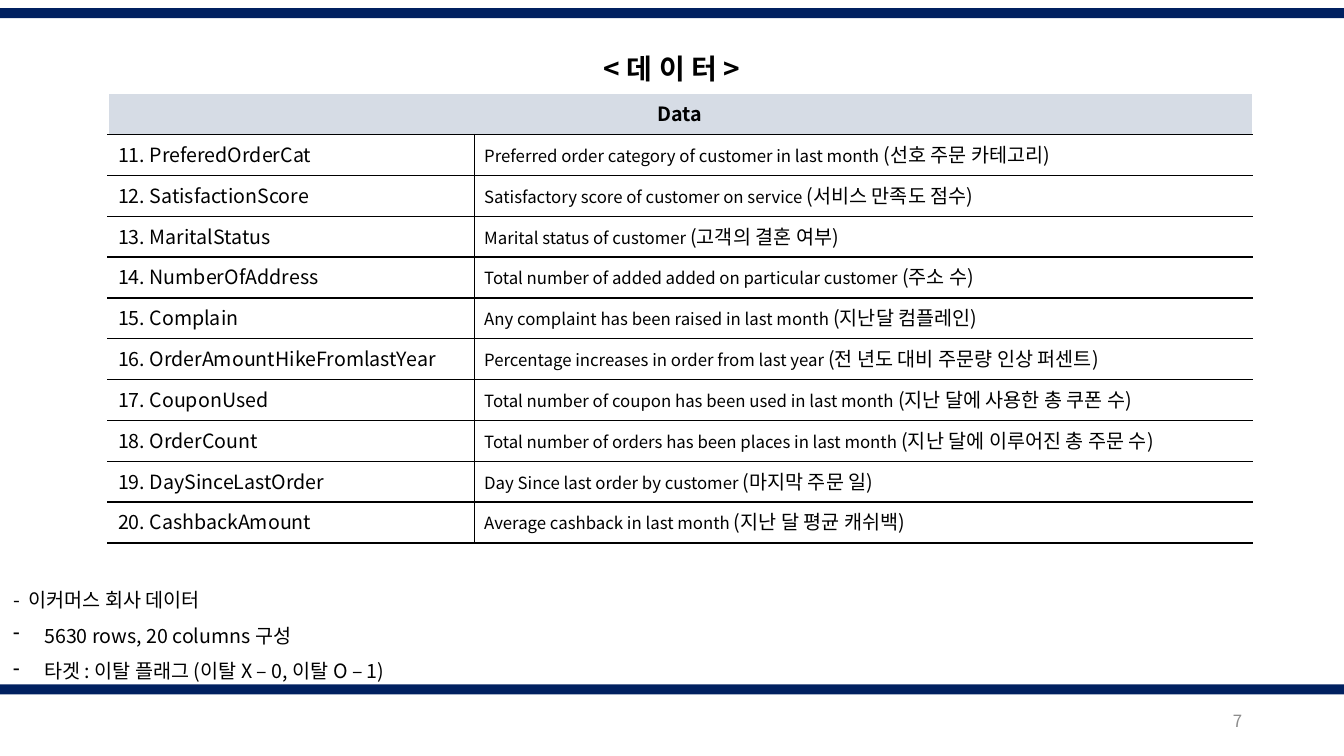
from dataclasses import dataclass

from lxml import etree
from pptx import Presentation
from pptx import util as u
from pptx.dml.color import RGBColor
from pptx.enum import shapes, text
from pptx.oxml.ns import qn


@dataclass(frozen=True)
class Theme:
    font: str = "Noto Sans CJK KR"
    ink: str = "000000"
    paper: str = "FFFFFF"
    navy: str = "002060"
    header: str = "D6DCE5"
    muted: str = "8C8C8C"
    title: int = 20
    body: int = 14
    small: int = 12
    line_spacing: float = 1.5


@dataclass(frozen=True)
class Box:
    left: float
    top: float
    width: float
    height: float

    def emu(self) -> tuple[int, int, int, int]:
        return (across(self.left), down(self.top),
                across(self.width), down(self.height))


@dataclass(frozen=True)
class Field:
    name: str
    meaning: str
    korean: str


@dataclass(frozen=True)
class Borders:
    left: str
    right: str
    top: str
    bottom: str


THEME = Theme()
SLIDE_W, SLIDE_H = u.Inches(13.33), u.Inches(7.5)
NUMBER_BOX = Box(70.67, 92.67, 22.5, 5.33)
TITLE_BOX = Box(0, 3.87, 100, 7.33)
NOTES_BOX = Box(0.23, 75.6, 100.67, 14.8)
TABLE_BOX = Box(8.03, 12.4, 85.15, 59.47)
BARS = [Box(0, top, 100, 1.33) for top in (1.07, 90.53)]
NAME_SHARE = 0.32
FIRST_FIELD = 11
FIELDS = [
    Field("PreferedOrderCat", "Preferred order category of customer in last month ", "(선호 주문 카테고리)"),
    Field("SatisfactionScore", "Satisfactory score of customer on service ", "(서비스 만족도 점수)"),
    Field("MaritalStatus", "Marital status of customer ", "(고객의 결혼 여부)"),
    Field("NumberOfAddress", "Total number of added added on particular customer ", "(주소 수)"),
    Field("Complain", "Any complaint has been raised in last month ", "(지난달 컴플레인)"),
    Field("OrderAmountHikeFromlastYear", "Percentage increases in order from last year ",
          "(전 년도 대비 주문량 인상 퍼센트)"),
    Field("CouponUsed", "Total number of coupon has been used in last month ", "(지난 달에 사용한 총 쿠폰 수)"),
    Field("OrderCount", "Total number of orders has been places in last month ", "(지난 달에 이루어진 총 주문 수)"),
    Field("DaySinceLastOrder", "Day Since last order by customer ", "(마지막 주문 일)"),
    Field("CashbackAmount", "Average cashback in last month ", "(지난 달 평균 캐쉬백)"),
]
NOTES = [
    "-  이커머스 회사 데이터",
    "5630 rows, 20 columns 구성",
    "타겟 : 이탈 플래그 (이탈 X – 0, 이탈 O – 1)",
]


def across(percent: float) -> int:
    return round(SLIDE_W * percent / 100)


def down(percent: float) -> int:
    return round(SLIDE_H * percent / 100)


def format_run(r, size: int, color: str = THEME.ink, bold: bool = False) -> None:
    r.font.name = THEME.font
    r.font.size = u.Pt(size)
    r.font.bold = bold
    r.font.color.rgb = RGBColor.from_string(color)
    east_asian = etree.Element(qn("a:ea"), typeface=THEME.font)
    r.font._element.find(qn("a:latin")).addnext(east_asian)


def format_paragraph(p, size: int, color: str = THEME.ink, bold: bool = False, align=None) -> None:
    p.alignment = align
    for r in p.runs:
        format_run(r, size, color, bold)


def add_bullet(p) -> None:
    pPr = p._p.get_or_add_pPr()
    indent = u.Inches(0.31)
    pPr.set("marL", str(indent))
    pPr.set("indent", str(-indent))
    etree.SubElement(pPr, qn("a:buChar"), char="-")


def add_bar(s, box: Box) -> None:
    sp = s.shapes.add_shape(shapes.MSO_SHAPE.RECTANGLE, *box.emu())
    sp.shadow.inherit = False
    sp.fill.solid()
    sp.fill.fore_color.rgb = RGBColor.from_string(THEME.navy)
    sp.line.fill.background()


def add_title(s) -> None:
    sp = s.shapes.title
    sp.left, sp.top, sp.width, sp.height = TITLE_BOX.emu()
    tf = sp.text_frame
    tf.text = "< 데 이 터 >"
    tf.word_wrap = True
    tf.vertical_anchor = text.MSO_ANCHOR.TOP
    tf.auto_size = text.MSO_AUTO_SIZE.SHAPE_TO_FIT_TEXT
    p = tf.paragraphs[0]
    p.line_spacing = THEME.line_spacing
    format_paragraph(p, THEME.title, bold=True, align=text.PP_ALIGN.CENTER)


def add_slide_number(s) -> None:
    tf = s.shapes.add_textbox(*NUMBER_BOX.emu()).text_frame
    tf.text = "7"
    tf.word_wrap = True
    tf.vertical_anchor = text.MSO_ANCHOR.MIDDLE
    format_paragraph(tf.paragraphs[0], THEME.small, THEME.muted, align=text.PP_ALIGN.RIGHT)


def add_notes(s) -> None:
    tf = s.shapes.add_textbox(*NOTES_BOX.emu()).text_frame
    tf.text = "\n".join(NOTES)
    tf.word_wrap = True
    tf.auto_size = text.MSO_AUTO_SIZE.SHAPE_TO_FIT_TEXT
    for p in tf.paragraphs:
        p.line_spacing = THEME.line_spacing
        format_paragraph(p, THEME.body)
    for p in tf.paragraphs[1:]:
        add_bullet(p)


def style_cell(cell, fill: str, borders: Borders) -> None:
    cell.fill.solid()
    cell.fill.fore_color.rgb = RGBColor.from_string(fill)
    sides = {"a:lnL": borders.left, "a:lnR": borders.right,
             "a:lnT": borders.top, "a:lnB": borders.bottom}
    tcPr = cell._tc.get_or_add_tcPr()
    for position, (tag, color) in enumerate(sides.items()):
        line = etree.Element(qn(tag), w=str(u.Pt(1)))
        solid = etree.SubElement(line, qn("a:solidFill"))
        etree.SubElement(solid, qn("a:srgbClr"), val=color)
        tcPr.insert(position, line)


def add_field_table(s) -> None:
    row_count = len(FIELDS) + 1
    table = s.shapes.add_table(row_count, 2, *TABLE_BOX.emu()).table
    table.first_row = table.horz_banding = False
    for column, share in zip(table.columns, (NAME_SHARE, 1 - NAME_SHARE)):
        column.width = across(TABLE_BOX.width * share)
    for row in table.rows:
        row.height = down(TABLE_BOX.height / row_count)

    ink, paper = THEME.ink, THEME.paper
    header = table.cell(0, 0)
    header.merge(table.cell(0, 1))
    header.text = "Data"
    format_paragraph(header.text_frame.paragraphs[0], THEME.body, bold=True, align=text.PP_ALIGN.CENTER)
    for column in range(2):
        style_cell(table.cell(0, column), THEME.header, Borders(paper, paper, paper, ink))

    for row, field in enumerate(FIELDS, 1):
        name, meaning = table.cell(row, 0), table.cell(row, 1)
        name.text = f"{FIRST_FIELD + row - 1}. {field.name}"
        format_paragraph(name.text_frame.paragraphs[0], THEME.body)
        style_cell(name, paper, Borders(paper, ink, ink, ink))
        p = meaning.text_frame.paragraphs[0]
        for words, size in ((field.meaning, THEME.small), (field.korean, THEME.body)):
            r = p.add_run()
            r.text = words
            format_run(r, size)
        style_cell(meaning, paper, Borders(ink, paper, ink, ink))


def main() -> None:
    prs = Presentation()
    prs.slide_width, prs.slide_height = SLIDE_W, SLIDE_H
    s = prs.slides.add_slide(prs.slide_layouts[5])
    add_title(s)
    add_slide_number(s)
    for bar in BARS:
        add_bar(s, bar)
    add_notes(s)
    add_field_table(s)
    prs.save("out.pptx")


if __name__ == "__main__":
    main()
